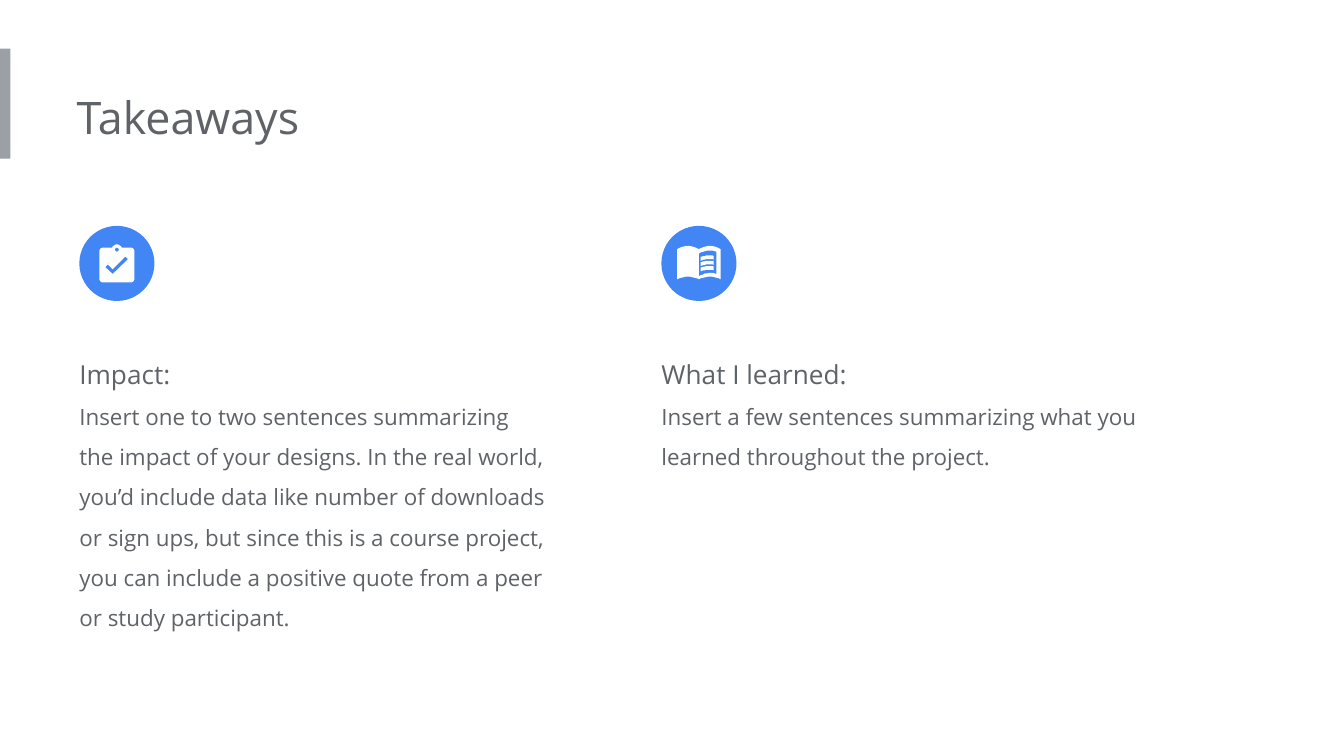
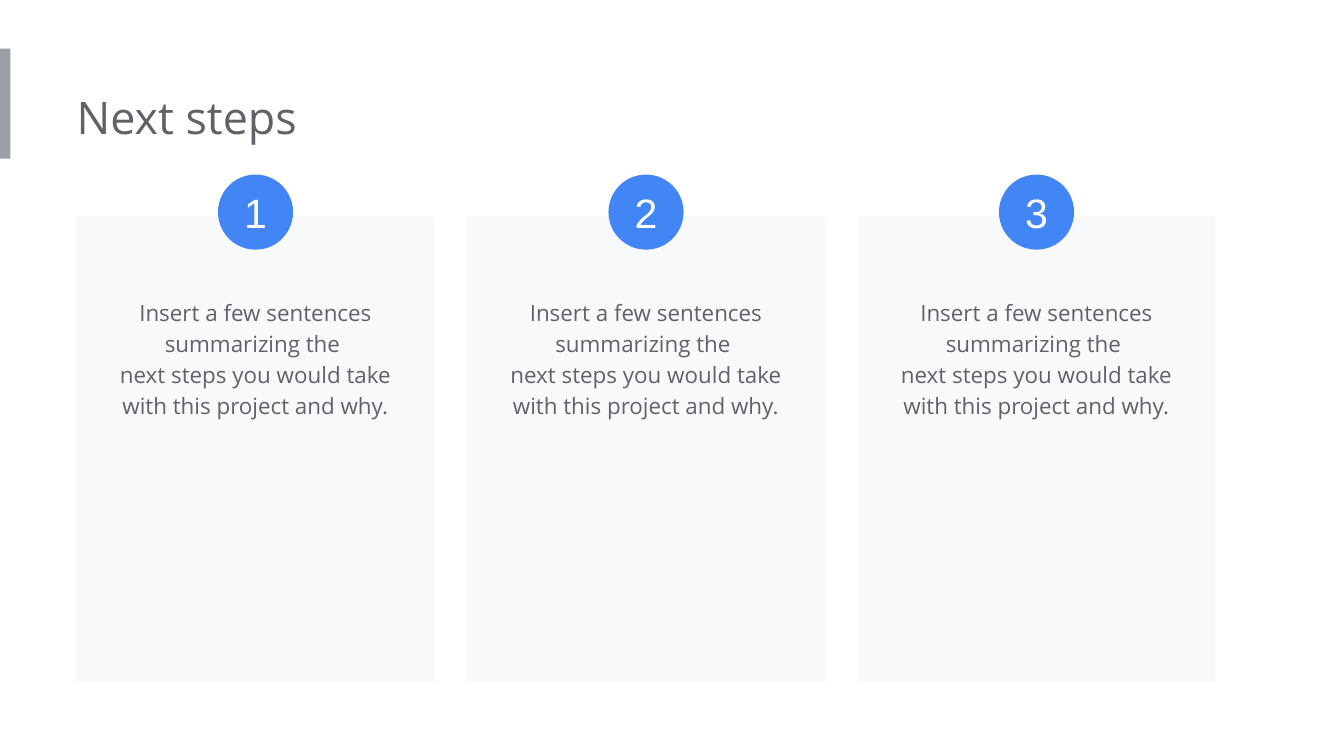
import math

import pptx
import pptx.dml.color
import pptx.enum.shapes
import pptx.enum.text
import pptx.oxml
import pptx.oxml.ns
import pptx.util
from pptx.util import Cm

# Shared style
GREY, TEXT, BLUE, CARD, WHITE = "9AA0A6", "5F6368", "4285F4", "F8F9FA", "FFFFFF"
FONT, NUMBER_FONT = "Open Sans", "Arial"
INSET = 0.25
CIRCLE = 1.42
SHAPES = pptx.enum.shapes.MSO_SHAPE
ALIGN = pptx.enum.text.PP_ALIGN
ANCHOR = pptx.enum.text.MSO_ANCHOR
AUTO_SIZE = pptx.enum.text.MSO_AUTO_SIZE
TITLE_AND_TWO_BODIES, TITLE_ONLY = 3, 5


def color(hex_string):
    return pptx.dml.color.RGBColor.from_string(hex_string)


# Outlines, in hundredths of a centimetre from the icon's centre
def arc(x, y, radius, start, end, steps=12):
    angles = [math.radians(start + (end - start) * i / steps) for i in range(steps + 1)]
    return [(x + radius * math.cos(a), y + radius * math.sin(a)) for a in angles]


def curve(start, middle, end, steps=10):
    """Parabola through three points."""
    points = []
    for i in range(steps + 1):
        t = i / steps
        weights = (1 - t) * (1 - 2 * t), 4 * t * (1 - t), t * (2 * t - 1)
        points.append(tuple(sum(w * p[axis] for w, p in zip(weights, (start, middle, end)))
                            for axis in (0, 1)))
    return points


def clipboard_icon():
    board = (arc(26, -23, 7, -90, 0) + arc(26, 29, 7, 0, 90) + arc(-26, 29, 7, 90, 180)
             + arc(-26, -23, 7, 180, 270) + arc(0, -26, 10, 205, 335))
    check = [(-8, 20), (-22, 7), (-17, 2), (-8, 11), (16, -13), (21, -8)]
    return [[board, arc(0, -26, 4, 0, 360), check]]


def book_icon():
    cover = (curve((-41, -27), (-21, -33), (0, -27)) + curve((0, -27), (21, -33), (41, -27))
             + curve((41, 30), (21, 25), (0, 30)) + curve((0, 30), (-21, 25), (-41, 30)))
    page = curve((0, -19), (18, -24), (33, -22)) + curve((33, 20), (18, 18), (0, 24))
    lines = [[curve((3, y), (16, y - 3), (28, y - 2)) + curve((28, y + 5), (16, y + 4), (3, y + 7))]
             for y in (-12, -2, 8)]
    return [[cover, page]] + lines


class Deck:
    def __init__(self):
        self.presentation = pptx.Presentation()
        self.presentation.slide_width = Cm(25.4)
        self.presentation.slide_height = Cm(14.29)
        self.slide = None

    def new_slide(self, title, layout):
        self.slide = self.presentation.slides.add_slide(self.presentation.slide_layouts[layout])
        self.shape(SHAPES.RECTANGLE, 0, 0.92, 0.2, 2.08, GREY)
        self.fill_text(self.slide.shapes.title, (1.45, 1.45, 13.69, 1.55), [(title, 24)])

    def shape(self, kind, left, top, width, height, fill):
        shape = self.slide.shapes.add_shape(kind, Cm(left), Cm(top), Cm(width), Cm(height))
        return self.paint(shape, fill)

    def paint(self, shape, fill):
        shape.shadow.inherit = False
        shape.fill.solid()
        shape.fill.fore_color.rgb = color(fill)
        shape.line.fill.background()
        return shape

    def set_paragraph(self, paragraph, text, size, align, spacing, font=FONT, fill=TEXT):
        paragraph.text = text
        paragraph.alignment = align
        paragraph.line_spacing = spacing
        paragraph.space_before = pptx.util.Pt(0)
        for run in paragraph.runs:
            run.font.name = font
            run.font.size = pptx.util.Pt(size)
            run.font.color.rgb = color(fill)

    def fill_text(self, shape, box, lines, align=ALIGN.LEFT, spacing=1.0, left_inset=0):
        """Place a text shape and fill it with (text, size) paragraphs."""
        shape.left, shape.top, shape.width, shape.height = (Cm(length) for length in box)
        frame = shape.text_frame
        frame.word_wrap = True
        frame.auto_size = AUTO_SIZE.SHAPE_TO_FIT_TEXT
        frame.vertical_anchor = ANCHOR.TOP
        frame.margin_left = Cm(left_inset)
        frame.margin_top = frame.margin_right = frame.margin_bottom = Cm(INSET)
        for i, (text, size) in enumerate(lines):
            paragraph = frame.add_paragraph() if i else frame.paragraphs[0]
            self.set_paragraph(paragraph, text, size, align, spacing)

    def body(self, index, box, lines):
        shape = self.slide.placeholders[index]
        self.fill_text(shape, box, lines, spacing=1.5)
        for paragraph in shape.text_frame.paragraphs:
            properties = paragraph._p.get_or_add_pPr()
            properties.set("marL", "0")
            properties.set("indent", "0")
            properties.append(pptx.oxml.parse_xml(f"<a:buNone {pptx.oxml.ns.nsdecls('a')}/>"))

    def text_box(self, box, lines):
        shape = self.slide.shapes.add_textbox(0, 0, 0, 0)
        self.fill_text(shape, box, lines, ALIGN.CENTER, 1.15, INSET)

    def circle(self, left, top, number=None):
        shape = self.shape(SHAPES.OVAL, left, top, CIRCLE, CIRCLE, BLUE)
        if number:
            frame = shape.text_frame
            frame.margin_left = frame.margin_top = frame.margin_right = frame.margin_bottom = 0
            frame.vertical_anchor = ANCHOR.MIDDLE
            self.set_paragraph(frame.paragraphs[0], str(number), 22, ALIGN.CENTER, 1.0,
                               NUMBER_FONT, WHITE)

    def icon(self, left, top, outlines):
        """White outlines centred on a blue circle."""
        self.circle(left, top)
        for contours in outlines:
            builder = None
            for contour in contours:
                if builder is None:
                    builder = self.slide.shapes.build_freeform(*contour[0], scale=Cm(0.01))
                else:
                    builder.move_to(*contour[0])
                builder.add_line_segments(contour[1:], close=True)
            shape = builder.convert_to_shape(Cm(left + CIRCLE / 2), Cm(top + CIRCLE / 2))
            self.paint(shape, WHITE)


def takeaways(deck):
    deck.new_slide("Takeaways", TITLE_AND_TWO_BODIES)
    columns = [
        ("Impact:",
         "Insert one to two sentences summarizing \nthe impact of your designs. In the real world, "
         "you’d include data like number of downloads or sign ups, but since this is a course "
         "project, you can include a positive quote from a peer \nor study participant.",
         5.77, clipboard_icon()),
        ("What I learned:",
         "Insert a few sentences summarizing what you learned throughout the project.",
         2.69, book_icon()),
    ]
    for i, (heading, text, height, outlines) in enumerate(columns):
        left = 1.5 + 11 * i
        deck.body(i + 1, (left, 6.22, 9.58, height), [(heading, 14), (text, 12)])
        deck.icon(left, 4.27, outlines)


def next_steps(deck):
    deck.new_slide("Next steps", TITLE_ONLY)
    card_width, text_width = 6.76, 5.69
    text = ("Insert a few sentences summarizing the \n"
            "next steps you would take with this project and why.")
    for i in range(3):
        left = 1.45 + 7.38 * i
        deck.shape(SHAPES.RECTANGLE, left, 4.09, card_width, 8.81, CARD)
        deck.text_box((left + (card_width - text_width) / 2, 5.33, text_width, 2.79), [(text, 12)])
        deck.circle(left + (card_width - CIRCLE) / 2, 3.3, i + 1)


def main():
    deck = Deck()
    takeaways(deck)
    next_steps(deck)
    deck.presentation.save("out.pptx")


if __name__ == "__main__":
    main()
